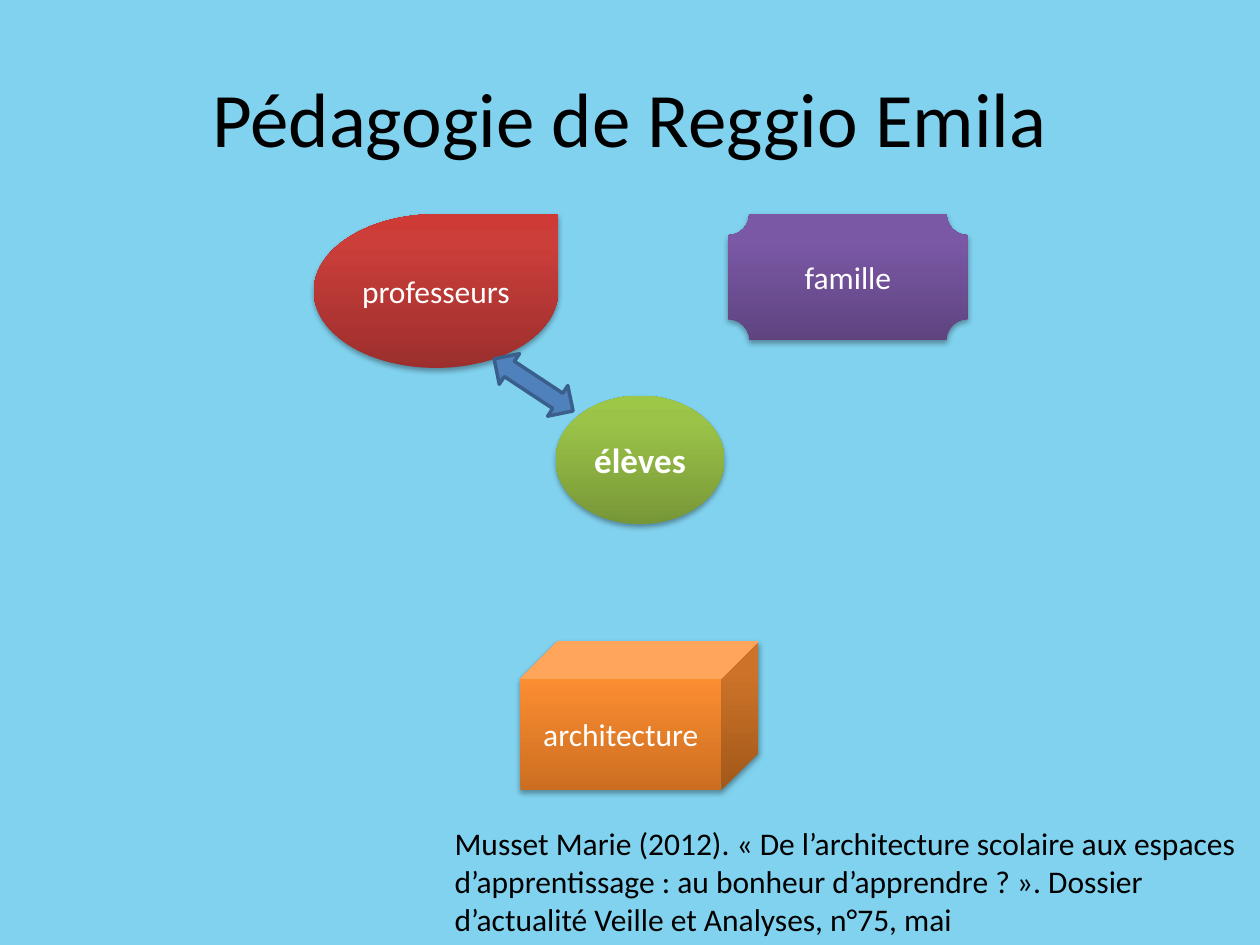
from copy import deepcopy

from lxml import etree
from pptx import Presentation
from pptx import util as u
from pptx.dml.color import RGBColor
from pptx.enum import shapes, text
from pptx.oxml.ns import qn

COLS, ROWS = 100, 75
SKY = RGBColor(0x81, 0xD2, 0xEF)
BLACK = RGBColor(0, 0, 0)
WHITE = RGBColor(0xFF, 0xFF, 0xFF)
BLUE = RGBColor(0x4F, 0x81, 0xBD)
NAVY = RGBColor(0x3A, 0x5F, 0x8C)
# Gradients run from the dark bottom to the light top.
GREEN = [RGBColor(0x77, 0x97, 0x37), RGBColor(0x9B, 0xC3, 0x48), RGBColor(0x9D, 0xC7, 0x46)]
RED = [RGBColor(0x9C, 0x2F, 0x2D), RGBColor(0xCB, 0x3E, 0x3A), RGBColor(0xCE, 0x3B, 0x37)]
ORANGE = [RGBColor(0xCC, 0x6E, 0x20), RGBColor(0xFF, 0x90, 0x34), RGBColor(0xFF, 0x91, 0x36)]
PURPLE = [RGBColor(0x5F, 0x44, 0x80), RGBColor(0x7B, 0x58, 0xA6), RGBColor(0x7C, 0x57, 0xA8)]
STOPS = (0, 0.8, 1)
KIND = shapes.MSO_SHAPE
ALIGN = text.PP_ALIGN
ANCHOR = text.MSO_ANCHOR


class Deck:
    """Holds the style and the current slide; boxes are (col, row, cols, rows)."""

    font = "Calibri"

    def __init__(self):
        self.prs = Presentation()
        self.prs.slide_width = u.Inches(10)
        self.prs.slide_height = u.Inches(7.5)
        self.slide = self.prs.slides.add_slide(self.prs.slide_layouts[6])
        fill = self.slide.background.fill
        fill.solid()
        fill.fore_color.rgb = SKY

    def place(self, box):
        col, row = self.prs.slide_width / COLS, self.prs.slide_height / ROWS
        return [round(n * size) for n, size in zip(box, (col, row, col, row))]

    def letter(self, shape, words, size, color, align, anchor, bold=False):
        """Set the words of a shape and their style."""
        frame = shape.text_frame
        frame.word_wrap = True
        frame.vertical_anchor = anchor
        frame.text = words
        para = frame.paragraphs[0]
        para.alignment = align
        font = para.runs[0].font
        font.name, font.size, font.bold = self.font, u.Pt(size), bold
        font.color.rgb = color

    def label(self, box, words, size, align=ALIGN.LEFT, anchor=ANCHOR.TOP):
        shape = self.slide.shapes.add_textbox(*self.place(box))
        self.letter(shape, words, size, BLACK, align, anchor)

    def shape(self, kind, box):
        shape = self.slide.shapes.add_shape(kind, *self.place(box))
        shape.shadow.inherit = False
        return shape

    def shade(self, shape, colors):
        fill = shape.fill
        fill.gradient()
        first = shape._element.spPr.find(".//" + qn("a:gs"))
        first.addnext(deepcopy(first))
        for stop, spot, color in zip(fill.gradient_stops, STOPS, colors):
            stop.position = spot
            stop.color.rgb = color
        fill.gradient_angle = 90

    def shadow(self, shape):
        effects = shape._element.spPr.find(qn("a:effectLst"))
        outer = etree.SubElement(
            effects, qn("a:outerShdw"), blurRad=str(u.Pt(3.15)),
            dist=str(u.Pt(1.8)), dir="5400000", rotWithShape="0")
        color = etree.SubElement(outer, qn("a:srgbClr"), val="000000")
        etree.SubElement(color, qn("a:alpha"), val="35000")

    def actor(self, kind, box, words, colors, size=18, bold=False):
        shape = self.shape(kind, box)
        self.shade(shape, colors)
        shape.line.fill.background()
        self.shadow(shape)
        self.letter(shape, words, size, WHITE, ALIGN.CENTER, ANCHOR.MIDDLE, bold)

    def arrow(self, box, turn):
        shape = self.shape(KIND.LEFT_RIGHT_ARROW, box)
        shape.rotation = turn
        shape.fill.solid()
        shape.fill.fore_color.rgb = BLUE
        shape.line.color.rgb = NAVY
        shape.line.width = u.Pt(2)


def main():
    deck = Deck()
    deck.label((5, 3, 90, 12.5), "Pédagogie de Reggio Emila", 44,
               ALIGN.CENTER, ANCHOR.MIDDLE)
    deck.actor(KIND.OVAL, (44.1, 31.4, 13.4, 10.2), "élèves", GREEN, 20, True)
    deck.actor(KIND.TEAR, (24.9, 17, 19.4, 12.2), "professeurs", RED)
    deck.actor(KIND.CUBE, (41.3, 50.9, 18.9, 11.8), "architecture", ORANGE)
    deck.actor(KIND.PLAQUE, (57.8, 17, 19, 10), "famille", PURPLE)
    deck.label((35.1, 64.9, 64.3, 10.1),
               "Musset Marie (2012). « De l’architecture scolaire aux espaces "
               "d’apprentissage : au bonheur d’apprendre ? ». Dossier "
               "d’actualité Veille et Analyses, n°75, mai", 18)
    deck.arrow((38.6, 29.1, 7.5, 2.9), 33.4)
    deck.prs.save("out.pptx")


if __name__ == "__main__":
    main()
